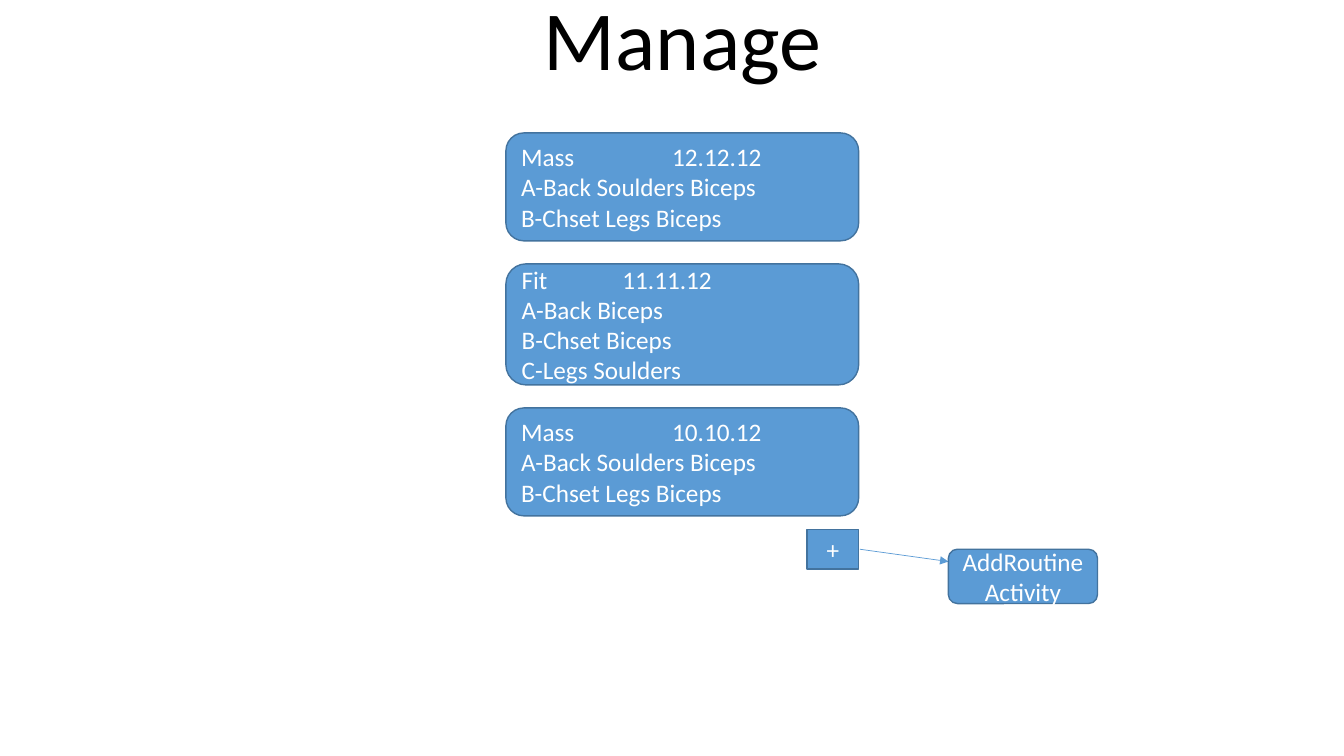
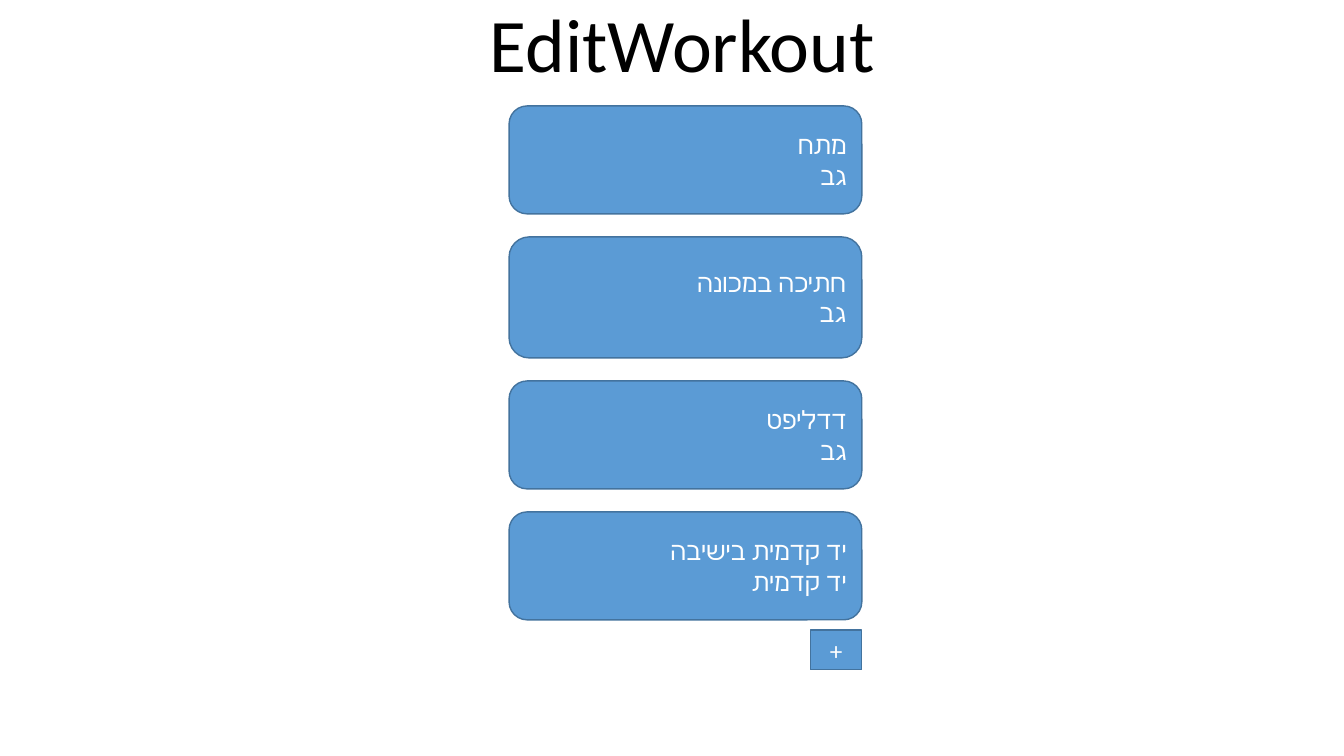
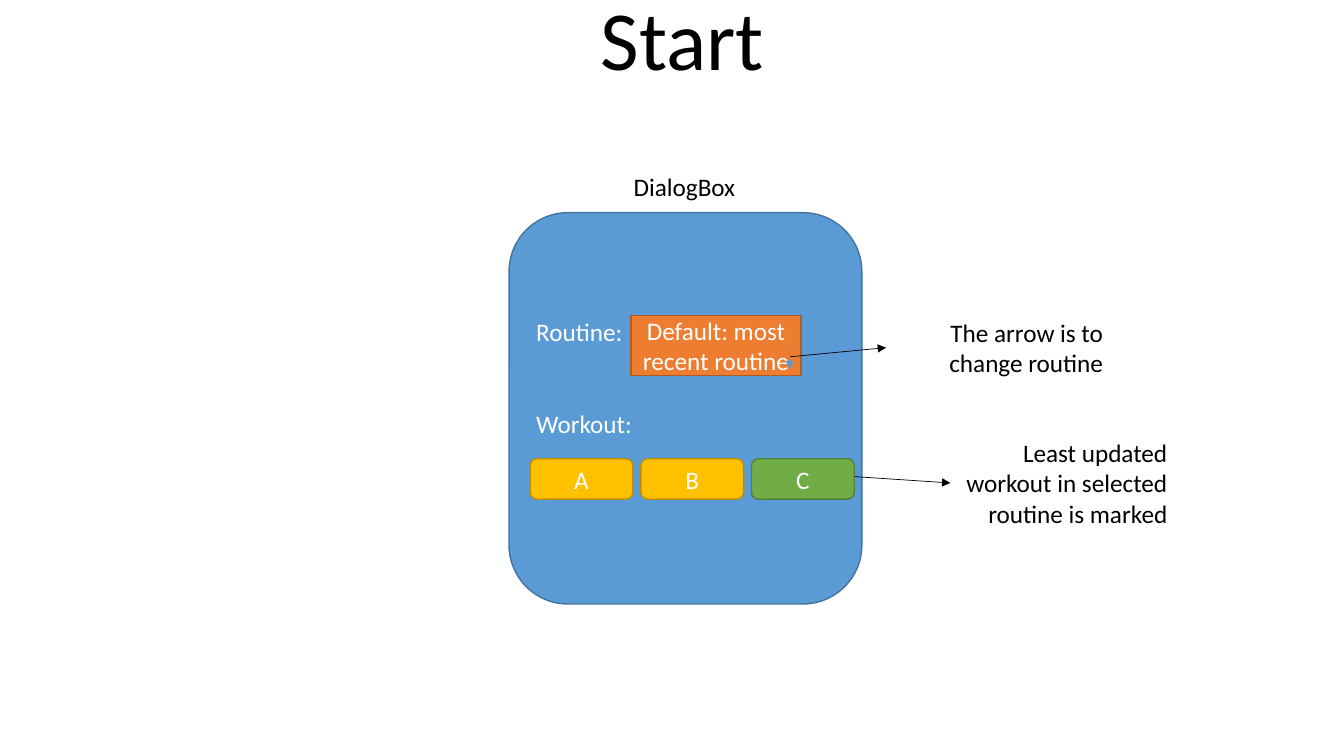
import pptx
import pptx.dml.color
import pptx.enum.shapes
import pptx.enum.text
import pptx.oxml
import pptx.oxml.ns
import pptx.util

Cm = pptx.util.Cm
Pt = pptx.util.Pt
ALIGN = pptx.enum.text.PP_ALIGN
ANCHOR = pptx.enum.text.MSO_ANCHOR
SHAPES = pptx.enum.shapes.MSO_SHAPE

COLOURS = {
    "white": "FFFFFF", "black": "000000",
    "blue": "5B9BD5", "blue_line": "43739E",
    "orange": "ED7D31", "orange_line": "AF5C24",
    "gold": "FFC000", "gold_line": "BD8E00",
    "green": "70AD47", "green_line": "538035",
}
CARD_WIDTH = 8.89
CARD_GAP = 0.58
SHORT_CARD = 2.72
TALL_CARD = 3.05
TITLE_BOTTOM = 2.36
NOTE_WIDTH = 5.72


def colour(name):
    """Return the named colour as an RGB value."""
    return pptx.dml.color.RGBColor.from_string(COLOURS[name])


def apply(target, values):
    """Set every attribute in a dict of format values."""
    for name, value in values.items():
        setattr(target, name, value)


class Deck:
    """Holds the shared style and the slide being built."""

    font = "Calibri"
    text_size = 18

    def __init__(self):
        """Start a widescreen presentation."""
        self.presentation = pptx.Presentation()
        apply(self.presentation, {"slide_width": Cm(33.87), "slide_height": Cm(19.05)})
        self.slide = None

    def new_slide(self, title, size=60, left=4.5, top=-4.27, width=25.4):
        """Add a blank slide and its centred title."""
        self.slide = self.presentation.slides.add_slide(self.presentation.slide_layouts[6])
        box = self.slide.shapes.add_textbox(
            Cm(left), Cm(top), Cm(width), Cm(TITLE_BOTTOM - top))
        self.fill_text(box, [title], "black", ALIGN.CENTER, size,
                       {"vertical_anchor": ANCHOR.BOTTOM}, {"line_spacing": 0.9})

    def fill_text(self, shape, lines, ink, align, size=text_size, frame_format=None,
                  paragraph_format=None):
        """Fill a shape with one paragraph per line."""
        frame = shape.text_frame
        apply(frame, {"word_wrap": True, **(frame_format or {})})
        for index, line in enumerate(lines):
            paragraph = frame.add_paragraph() if index else frame.paragraphs[0]
            apply(paragraph, {"text": line, "alignment": align, **(paragraph_format or {})})
            if align == ALIGN.RIGHT:
                paragraph._p.get_or_add_pPr().set("rtl", "1")
            apply(paragraph.font, {"name": self.font, "size": Pt(size)})
            paragraph.font.color.rgb = colour(ink)

    def box(self, kind, left, top, width, height, lines, fill="blue", align=ALIGN.CENTER,
            frame_format=None):
        """Add a filled, outlined shape with white text."""
        shape = self.slide.shapes.add_shape(kind, Cm(left), Cm(top), Cm(width), Cm(height))
        shape.shadow.inherit = False
        shape.fill.solid()
        shape.fill.fore_color.rgb = colour(fill)
        shape.line.color.rgb = colour(fill + "_line")
        shape.line.width = Pt(1)
        self.fill_text(shape, lines, "white", align,
                       frame_format={"vertical_anchor": ANCHOR.MIDDLE, **(frame_format or {})})
        return shape

    def cards(self, left, top, cards, align):
        """Stack cards, the second one taller, and return the bottom edge."""
        for index, lines in enumerate(cards):
            height = TALL_CARD if index == 1 else SHORT_CARD
            self.box(SHAPES.ROUNDED_RECTANGLE, left, top, CARD_WIDTH, height, lines, align=align)
            top += height + CARD_GAP
        return top - CARD_GAP

    def add_button(self, cards_left, top):
        """Add the plus button under the right edge of the cards."""
        width = 1.3
        self.box(SHAPES.RECTANGLE, cards_left + CARD_WIDTH - width, top, width, 1, ["+"])

    def note(self, left, top, height, text):
        """Add a right-aligned black note."""
        box = self.slide.shapes.add_textbox(Cm(left), Cm(top), Cm(NOTE_WIDTH), Cm(height))
        self.fill_text(box, [text], "black", ALIGN.RIGHT)

    def arrow(self, start, end, ink="black"):
        """Draw a thin arrow between two points."""
        points = [Cm(value) for value in (*start, *end)]
        connector = self.slide.shapes.add_connector(
            pptx.enum.shapes.MSO_CONNECTOR.STRAIGHT, *points)
        connector.line.color.rgb = colour(ink)
        connector.line.width = Pt(0.5)
        namespace = pptx.oxml.ns.nsdecls("a")
        properties = connector._element.spPr
        properties.get_or_add_ln().append(
            pptx.oxml.parse_xml(f'<a:tailEnd {namespace} type="triangle"/>'))
        properties.append(pptx.oxml.parse_xml(f"<a:effectLst {namespace}/>"))


def manage_slide(deck):
    """Build the list of routines."""
    deck.new_slide("Manage")
    mass_workouts = ["A-Back Soulders Biceps", "B-Chset Legs Biceps"]
    routines = [
        ["Mass\t\t12.12.12", *mass_workouts],
        ["Fit\t\t11.11.12", "A-Back Biceps", "B-Chset Biceps", "C-Legs Soulders"],
        ["Mass\t\t10.10.12", *mass_workouts],
    ]
    left = 12.75
    bottom = deck.cards(left, 3.35, routines, ALIGN.LEFT)
    deck.add_button(left, bottom + 0.34)
    deck.arrow((21.67, 13.84), (23.9, 14.15), "blue")
    deck.box(SHAPES.ROUNDED_RECTANGLE, 23.9, 13.84, 3.76, 1.37, ["AddRoutineActivity"])


def edit_workout_slide(deck):
    """Build the list of exercises."""
    deck.new_slide("EditWorkout", 54, 12.07, 0, 10.26)
    exercises = [
        ["מתח", "גב"],
        ["חתיכה במכונה", "גב"],
        ["דדליפט", "גב"],
        ["יד קדמית בישיבה", "יד קדמית"],
    ]
    left = 12.83
    bottom = deck.cards(left, 2.67, exercises, ALIGN.RIGHT)
    deck.add_button(left, bottom + 0.26)


def start_slide(deck):
    """Build the start dialog with its notes."""
    deck.new_slide("Start")
    dialog = deck.box(SHAPES.ROUNDED_RECTANGLE, 12.83, 5.36, CARD_WIDTH, 9.86,
                      ["Routine:", "Workout:"], align=ALIGN.LEFT,
                      frame_format={"margin_bottom": Cm(1.68)})
    dialog.text_frame.paragraphs[1].space_before = Pt(44)
    deck.note(13.06, 4.19, 1.02, "DialogBox")
    deck.box(SHAPES.RECTANGLE, 15.9, 7.95, 4.29, 1.52, ["Default: most recent routine"],
             "orange")
    deck.arrow((19.89, 8.71), (19.91, 9.3), "blue")
    deck.note(22.33, 7.87, 1.8, "The arrow is to change routine")
    deck.arrow((19.91, 8.99), (22.33, 8.76))
    for index, (workout, fill) in enumerate([("A", "gold"), ("B", "gold"), ("C", "green")]):
        deck.box(SHAPES.ROUNDED_RECTANGLE, 13.36 + index * 2.79, 11.56, 2.59, 1.02,
                 [workout], fill)
    deck.note(23.95, 10.9, 2.57, "Least updated workout in selected routine is marked")
    deck.arrow((21.54, 12.01), (23.95, 12.17))


def main():
    """Build and save the deck."""
    deck = Deck()
    for build in (manage_slide, edit_workout_slide, start_slide):
        build(deck)
    deck.presentation.save("out.pptx")


main()
